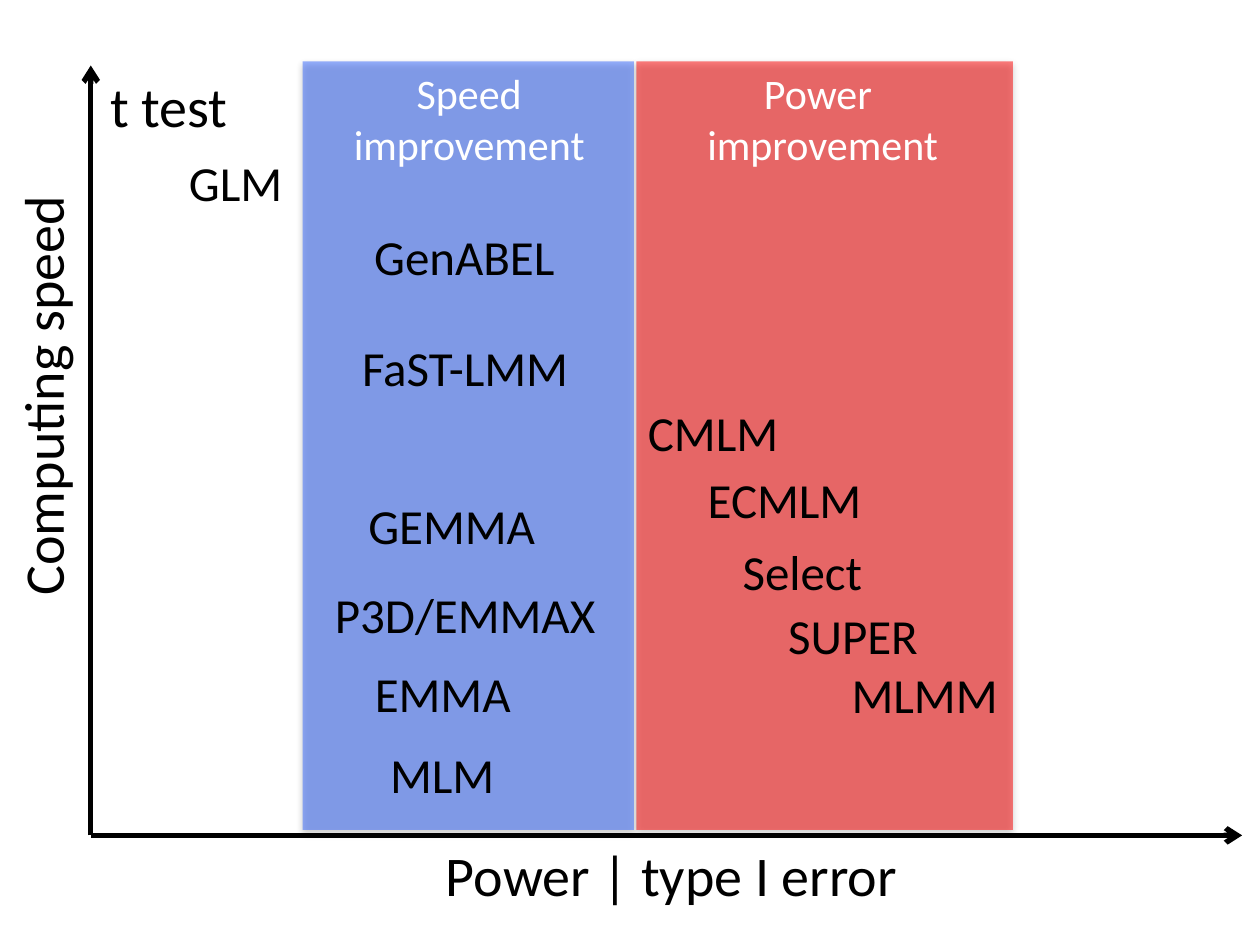
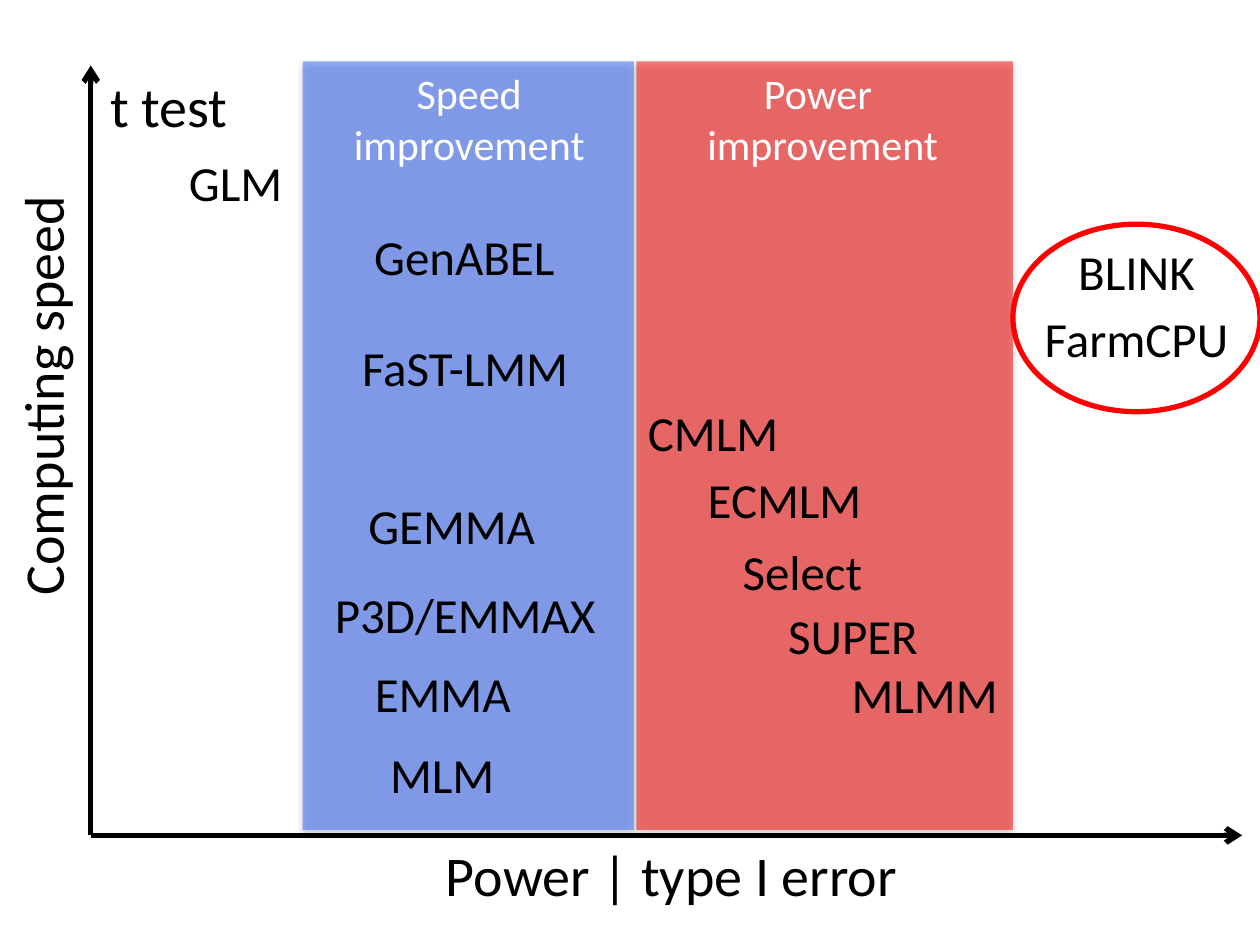
import pptx
import pptx.util
import pptx.dml.color
import pptx.enum.shapes
import pptx.enum.text
import pptx.oxml
import pptx.oxml.ns

Cm = pptx.util.Cm
Pt = pptx.util.Pt
RGBColor = pptx.dml.color.RGBColor
Shape = pptx.enum.shapes.MSO_SHAPE
Align = pptx.enum.text.PP_ALIGN

BLACK = RGBColor(0, 0, 0)
WHITE = RGBColor(255, 255, 255)
RED = RGBColor(255, 0, 0)
BLUE = RGBColor(0x33, 0x66, 0xFF)
NS = pptx.oxml.ns.nsdecls("a")
ALPHA = f'<a:alpha {NS} val="50000"/>'
SHADOW = (f'<a:effectLst {NS}><a:outerShdw blurRad="50800" dist="25400" dir="5400000" '
          'rotWithShape="0"><a:srgbClr val="000000"><a:alpha val="38000"/>'
          '</a:srgbClr></a:outerShdw></a:effectLst>')
FLAT = f"<a:effectLst {NS}/>"
ARROW = f'<a:tailEnd {NS} type="arrow"/>'
TALL = {32: 1.63, 28: 1.45, 24: 2.31}

TOP = 1.24
BANDS = [(12.83, 7.59, RED), (6.1, 6.68, BLUE)]
BASE = (1.83, 16.84)
TIPS = [(25.04, 16.84), (1.83, 1.32)]
HEADS = [
    ("Speed improvement", 6.17, 6.58),
    ("Power \nimprovement", 12.75, 7.67),
]
MODELS = [
    ("GLM", 3.33, 2.95, 2.84),
    ("MLM", 7.34, 14.88, 3.15),
    ("EMMA", 6.73, 13.26, 4.39),
    ("P3D/EMMAX", 6.1, 11.66, 6.55),
    ("GEMMA", 6.73, 9.86, 4.75),
    ("FaST-LMM", 6.1, 6.68, 6.55),
    ("GenABEL", 6.73, 4.45, 5.26),
    ("CMLM", 12.57, 7.98, 3.61),
    ("ECMLM", 13.39, 9.35, 4.85),
    ("Select", 14.12, 10.8, 4.11),
    ("SUPER", 15.14, 12.09, 4.11),
    ("MLMM", 16.48, 13.28, 4.32),
]
RING = (20.42, 4.52, 4.98, 3.78)
LATEST = [("BLINK", 4.75), ("FarmCPU", 6.1)]


def label(slide, text, left, top, width, size=28, color=BLACK, align=Align.CENTER):
    box = slide.shapes.add_textbox(Cm(left), Cm(top), Cm(width), Cm(TALL[size]))
    frame = box.text_frame
    frame.word_wrap = True
    for i, line in enumerate(text.split("\n")):
        para = frame.add_paragraph() if i else frame.paragraphs[0]
        para.alignment = align
        run = para.add_run()
        run.text = line
        run.font.name = "Calibri"
        run.font.size = Pt(size)
        run.font.color.rgb = color
    return box


deck = pptx.Presentation()
deck.slide_width = Cm(25.4)
deck.slide_height = Cm(19.05)

for stage in range(2):
    slide = deck.slides.add_slide(deck.slide_layouts[6])

    for left, width, color in BANDS:
        band = slide.shapes.add_shape(Shape.RECTANGLE, Cm(left), Cm(TOP), Cm(width), Cm(15.49))
        band.fill.solid()
        band.fill.fore_color.rgb = color
        band.line.fill.background()
        props = band.element.spPr
        tint = props.find(".//" + pptx.oxml.ns.qn("a:srgbClr"))
        tint.append(pptx.oxml.parse_xml(ALPHA))
        props.append(pptx.oxml.parse_xml(SHADOW))

    for tip in TIPS:
        axis = slide.shapes.add_connector(
            pptx.enum.shapes.MSO_CONNECTOR.STRAIGHT, *map(Cm, BASE + tip))
        axis.line.color.rgb = BLACK
        axis.line.width = Pt(3)
        axis.line._get_or_add_ln().append(pptx.oxml.parse_xml(ARROW))
        axis.element.spPr.append(pptx.oxml.parse_xml(FLAT))

    speed = label(slide, "Computing speed", -3.94, 6.65, 9.58, 32, align=Align.LEFT)
    speed.rotation = 270
    label(slide, "Power | type I error", 8.74, 16.81, 10.69, 32, align=Align.LEFT)
    label(slide, "t test", 1.83, 1.32, 3.15, 32)

    for model in MODELS:
        label(slide, *model)
    for text, left, width in HEADS:
        label(slide, text, left, TOP, width, 24, WHITE)

    if stage == 1:
        for text, top in LATEST:
            label(slide, text, RING[0], top, RING[2])
        ring = slide.shapes.add_shape(Shape.OVAL, *map(Cm, RING))
        ring.fill.background()
        ring.line.color.rgb = RED
        ring.line.width = Pt(3)
        ring.shadow.inherit = False

deck.save("out.pptx")
